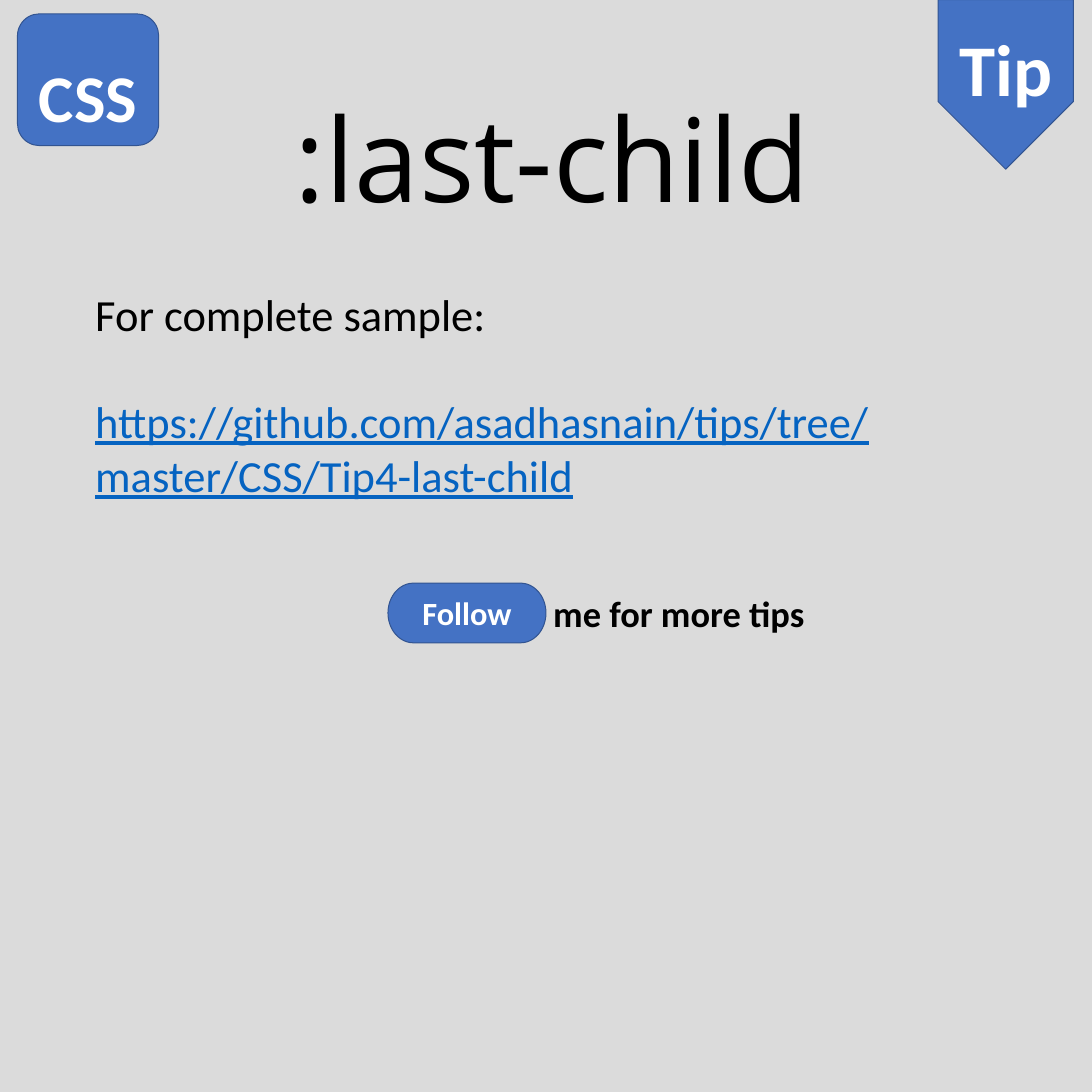
import pptx
import pptx.dml.color
import pptx.enum.shapes
import pptx.enum.text
import pptx.util

SCALE = 9144  # EMU per px, at 100 px to the inch
SIDE = 1500
COLOURS = {
    "background": "DBDBDB",
    "badge": "4472C4",
    "outline": "325491",
    "light": "FFFFFF",
    "dark": "000000",
    "link": "0563C1",
}
SHAPE = pptx.enum.shapes.MSO_SHAPE
ANCHOR = pptx.enum.text.MSO_ANCHOR
ALIGN = pptx.enum.text.PP_ALIGN


def px(length):
    return pptx.util.Emu(length * SCALE)


def rgb(name):
    return pptx.dml.color.RGBColor.from_string(COLOURS[name])


def write(paragraph, text, size, font="Calibri", colour="dark", bold=False,
          underline=False, align=ALIGN.LEFT, before=0):
    """Fill a paragraph with one formatted run."""
    paragraph.alignment = align
    paragraph.line_spacing = 1.0
    if before:
        paragraph.space_before = pptx.util.Pt(before)
    run = paragraph.add_run()
    run.text = text
    run.font.name = font
    run.font.size = pptx.util.Pt(size)
    run.font.bold = bold
    run.font.underline = underline
    run.font.color.rgb = rgb(colour)


class TipSlide:
    def __init__(self, deck):
        self.slide = deck.slides.add_slide(deck.slide_layouts[5])
        fill = self.slide.background.fill
        fill.solid()
        fill.fore_color.rgb = rgb("background")

    def title(self, text, left, top, width, height, size):
        heading = self.slide.shapes.title
        heading.left, heading.top = px(left), px(top)
        heading.width, heading.height = px(width), px(height)
        frame = heading.text_frame
        frame.word_wrap = True
        frame.auto_size = pptx.enum.text.MSO_AUTO_SIZE.NONE
        frame.vertical_anchor = ANCHOR.TOP
        write(frame.paragraphs[0], text, size, font="Open Sans", align=ALIGN.CENTER)

    def badge(self, kind, text, left, top, width, height, size,
              anchor=ANCHOR.MIDDLE, pointing_down=False):
        badge = self.slide.shapes.add_shape(kind, px(left), px(top), px(width), px(height))
        badge.shadow.inherit = False
        badge.fill.solid()
        badge.fill.fore_color.rgb = rgb("badge")
        badge.line.color.rgb = rgb("outline")
        badge.line.width = pptx.util.Pt(1)
        frame = badge.text_frame
        frame.word_wrap = True
        frame.vertical_anchor = anchor
        if pointing_down:
            badge.rotation = 90
            frame._txBody.bodyPr.set("vert", "vert270")
        write(frame.paragraphs[0], text, size, colour="light", bold=True,
              align=ALIGN.CENTER)

    def text(self, lines, left, top, width, height, anchor=ANCHOR.TOP, wrap=True):
        """Add a text box; each line is its text and its format."""
        box = self.slide.shapes.add_textbox(px(left), px(top), px(width), px(height))
        frame = box.text_frame
        frame.word_wrap = wrap
        frame.vertical_anchor = anchor
        for index, (words, style) in enumerate(lines):
            paragraph = frame.add_paragraph() if index else frame.paragraphs[0]
            write(paragraph, words, **style)


def main():
    deck = pptx.Presentation()
    deck.slide_width = deck.slide_height = px(SIDE)

    tip = TipSlide(deck)
    tip.title(":last-child", 235, 113, 1047, 204, size=115)
    tip.badge(SHAPE.ROUNDED_RECTANGLE, "CSS", 24, 19, 194, 181, size=66,
              anchor=ANCHOR.BOTTOM)
    tip.badge(SHAPE.PENTAGON, "Tip", 1265, 23, 233, 186, size=72, pointing_down=True)
    tip.badge(SHAPE.FLOWCHART_TERMINATOR, "Follow", 533, 801, 217, 82, size=32)
    tip.text([("me for more tips", {"size": 36, "bold": True})],
             750, 806, 369, 71, anchor=ANCHOR.MIDDLE, wrap=False)
    tip.text([
        ("For complete sample:", {"size": 44}),
        ("https://github.com/asadhasnain/tips/tree/master/CSS/Tip4-last-child",
         {"size": 44, "colour": "link", "underline": True, "before": 53.7}),
    ], 121, 389, 1258, 380)

    deck.save("out.pptx")


if __name__ == "__main__":
    main()
